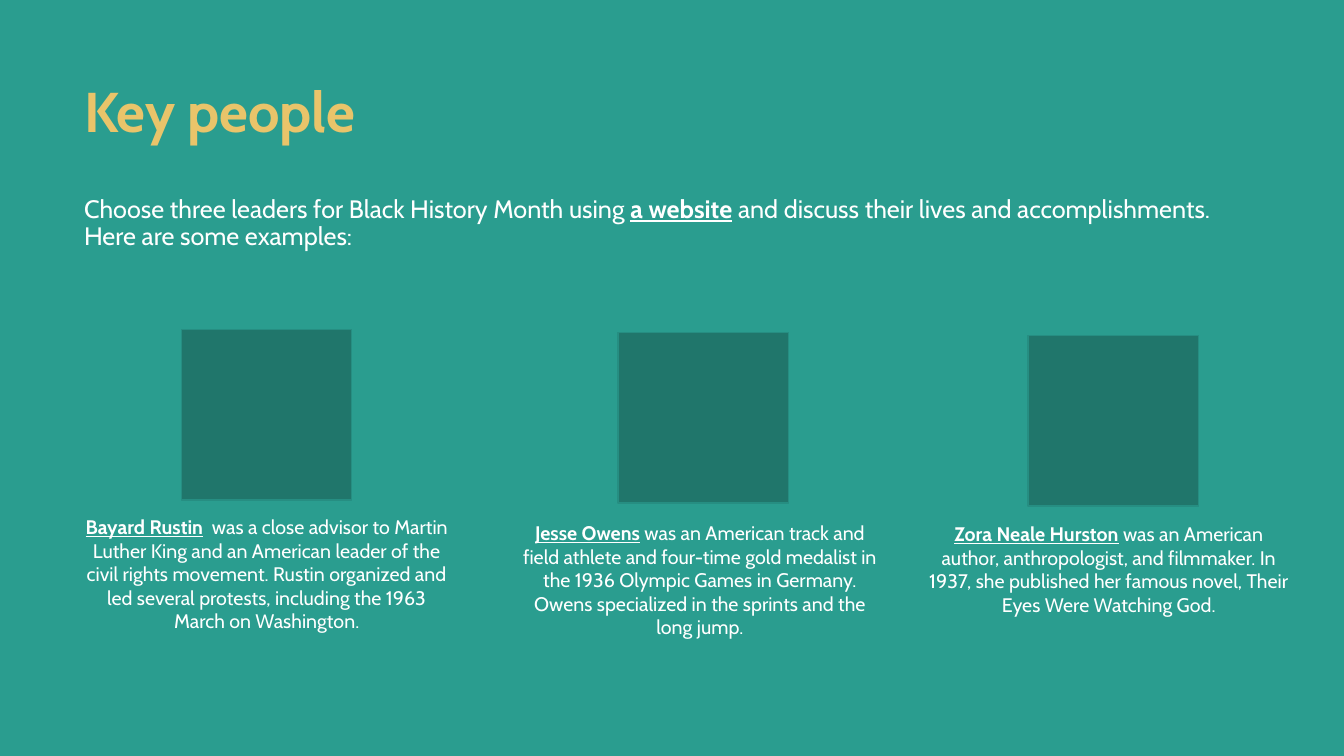
from pptx import Presentation
from pptx.dml.color import RGBColor
from pptx.enum.shapes import MSO_SHAPE
from pptx.enum.text import MSO_ANCHOR, PP_ALIGN
from pptx.util import Pt

RECT = MSO_SHAPE.RECTANGLE
MIDDLE = MSO_ANCHOR.MIDDLE
CENTER = PP_ALIGN.CENTER

FONT = "Cabin"
COLORS = {
    "background": "2A9D8F",
    "title": "E9C46A",
    "text": "FFFFFF",
    "portrait": "20766B",
    "border": "268E82",
}
PORTRAIT_SIZE = 121.7

PEOPLE = [
    ((59.8, 235.4, 261.4, 226.8), 69.8, 132.5, "Bayard Rustin",
     "  was a close advisor to Martin Luther King and an American leader of "
     "the civil rights movement. Rustin organized and led several protests, "
     "including the 1963 March on Washington."),
    ((368.6, 237.6, 262.8, 228.9), 72.8, 134.6, "Jesse Owens",
     " was an American track and field athlete and four-time gold medalist in "
     "the 1936 Olympic Games in Germany. Owens specialized in the sprints and "
     "the long jump."),
    ((663.1, 239.8, 257.8, 227.5), 71.3, 133.2, "Zora Neale Hurston",
     " was an American author, anthropologist, and filmmaker. In 1937, she "
     "published her famous novel, Their Eyes Were Watching God."),
]


def color(name):
    return RGBColor.from_string(COLORS[name])


def add_text_frame(s, box, margins=(0, 0, 0, 0)):
    tf = s.shapes.add_textbox(*map(Pt, box)).text_frame
    tf.word_wrap = True
    tf.margin_left, tf.margin_top, tf.margin_right, tf.margin_bottom = map(Pt, margins)
    return tf


def add_run(p, text, size, fill="text", bold=False, underline=False):
    r = p.add_run()
    r.text = text
    r.font.name = FONT
    r.font.size = Pt(size)
    r.font.bold = bold
    r.font.underline = underline
    r.font.color.rgb = color(fill)


def add_title(s, box):
    tf = add_text_frame(s, box, (0, 3.6, 7.2, 3.6))
    tf.vertical_anchor = MIDDLE
    p = tf.paragraphs[0]
    p.line_spacing = 0.9
    add_run(p, "Key people", 40, "title", bold=True)


def add_intro(s, box):
    p = add_text_frame(s, box).paragraphs[0]
    p.line_spacing = 0.9
    add_run(p, "Choose three leaders for Black History Month using ", 18)
    add_run(p, "a website", 18, bold=True, underline=True)
    add_run(p, " and discuss their lives and accomplishments. "
               "Here are some examples:", 18)


def add_person(s, box, portrait_dx, bio_dy, name, bio):
    left, top, width, height = box
    sp = s.shapes.add_shape(RECT, Pt(left + portrait_dx), Pt(top),
                            Pt(PORTRAIT_SIZE), Pt(PORTRAIT_SIZE))
    sp.shadow.inherit = False
    sp.fill.solid()
    sp.fill.fore_color.rgb = color("portrait")
    sp.line.color.rgb = color("border")
    sp.line.width = Pt(1)

    tf = add_text_frame(s, (left, top + bio_dy, width, height - bio_dy))
    p = tf.paragraphs[0]
    p.alignment = CENTER
    add_run(p, name, 14, bold=True, underline=True)
    add_run(p, bio, 14)


def main():
    prs = Presentation()
    prs.slide_width, prs.slide_height = Pt(960), Pt(540)
    s = prs.slides.add_slide(prs.slide_layouts[6])
    s.background.fill.solid()
    s.background.fill.fore_color.rgb = color("background")

    add_title(s, (60, 56.2, 840, 51.1))
    add_intro(s, (60, 140.4, 840, 87.8))
    for person in PEOPLE:
        add_person(s, *person)

    prs.save("out.pptx")


if __name__ == "__main__":
    main()
